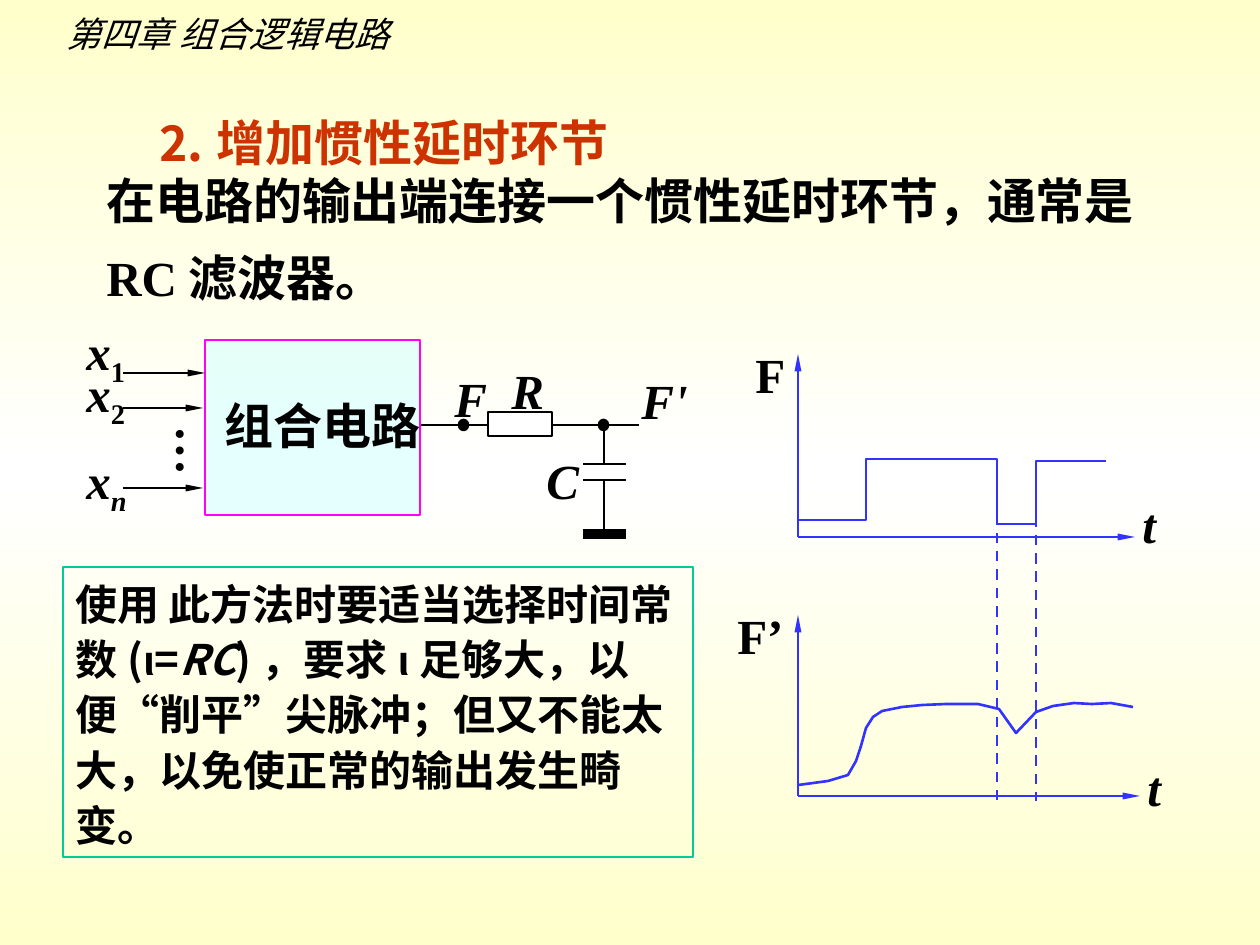
import copy

import pptx
import pptx.dml.color
import pptx.enum.dml
import pptx.enum.shapes
import pptx.enum.text
import pptx.oxml.ns
import pptx.util
from lxml import etree

RGB = pptx.dml.color.RGBColor
SHAPE = pptx.enum.shapes.MSO_SHAPE
SCALE = 914400 / 126  # EMU per px

BLACK, WHITE = RGB(0, 0, 0), RGB(255, 255, 255)
CREAM = RGB(0xFF, 0xFF, 0xCC)
CYAN, MAGENTA = RGB(0xCC, 0xFF, 0xFF), RGB(0xFF, 0, 0xFF)
BLUE, GREEN, RED = RGB(0x33, 0x33, 0xFF), RGB(0, 0xCC, 0x99), RGB(0xCC, 0x33, 0)
SERIF, SANS, ARIAL = "Times New Roman", "Noto Sans CJK SC", "Arial"

CHAPTER = "第四章 组合逻辑电路"
TITLE = "⒉ 增加惯性延时环节"
BODY = "在电路的输出端连接一个惯性延时环节，通常是RC滤波器。"
NOTE = [
    ("使用 此方法时要适当选择时间常数(", {}),
    ("ι", {"font": ARIAL}),
    ("=", {}),
    ("RC", {"italic": True}),
    (")，要求", {}),
    ("ι", {"font": ARIAL}),
    ("足够大，以便“削平”尖脉冲；但又不能太大，以免使正常的输出发生畸变。", {}),
]

# Circuit: (x1, y1, x2, y2)
INPUT_ARROWS = [(123, 373, 205, 373), (123, 408, 203, 408), (123, 488, 203, 488)]
WIRES = [(421, 425, 639, 425), (604, 425, 604, 464), (583, 464, 626, 464),
         (583, 480, 626, 480), (604, 480, 604, 534)]
GROUND = (583, 534, 626, 534)
NODES = [459, 599]  # left edges
INPUTS = [("1", 315, False), ("2", 357, False), ("n", 444, True)]  # subscript, top, italic

# Labels: text, left, top, width, italic
LABELS = [
    ("组合电路", 212, 389, 226, False),
    ("F'", 629, 364, 71, True),
    ("F", 442, 362, 58, True),
    ("C", 534, 444, 58, True),
    ("R", 499, 354, 58, True),
    ("F", 743, 338, 55, False),
    ("t", 1130, 488, 39, True),
    ("F’", 725, 599, 71, False),
    ("t", 1135, 751, 39, True),
]

# Waveforms
ORIGIN_X = 798
AXES = [(537, 354, 1135), (796, 615, 1140)]  # baseline, top, right end
DASHES = [(997, 459, 997, 800), (1036, 461, 1036, 801)]
PULSE = [(798, 520), (866, 520), (866, 459), (997, 459),
         (997, 524), (1036, 524), (1036, 461), (1106, 461)]
SMOOTHED = [(798, 785), (828, 781), (848, 775), (856, 761), (861, 746), (866, 728),
            (873, 717), (882, 711), (902, 707), (922, 705), (946, 704), (978, 704),
            (999, 709), (1016, 733), (1036, 712), (1053, 706), (1074, 703),
            (1092, 704), (1111, 703), (1133, 707)]


def px(*values):
    return [round(v * SCALE) for v in values]


def add_sub(parent, tag, **attrs):
    return etree.SubElement(parent, pptx.oxml.ns.qn(tag), attrs)


def add_run(p, text, size=28, font=SERIF, color=BLACK, bold=True, italic=False, sub=False):
    r = p.add_run()
    r.text = text
    r.font.size = pptx.util.Pt(size)
    r.font.bold, r.font.italic = bold, italic
    r.font.color.rgb = color
    r.font.name = font
    rpr = r.font._element
    add_sub(rpr, "a:ea", typeface=SANS)
    if sub:
        rpr.set("baseline", "-25000")


def add_text(s, box, runs, wrap=False):
    """Add a text box holding one paragraph of (text, format) runs."""
    sp = s.shapes.add_textbox(*px(*box))
    tf = sp.text_frame
    tf.word_wrap = wrap
    tf.auto_size = pptx.enum.text.MSO_AUTO_SIZE.SHAPE_TO_FIT_TEXT
    for text, style in runs:
        add_run(tf.paragraphs[0], text, **style)
    return sp


def add_shape(s, kind, box, fill, line, width=1.5):
    sp = s.shapes.add_shape(kind, *px(*box))
    sp.shadow.inherit = False
    if fill is None:
        sp.fill.background()
    else:
        sp.fill.solid()
        sp.fill.fore_color.rgb = fill
    sp.line.color.rgb = line
    sp.line.width = pptx.util.Pt(width)
    return sp


def add_line(s, ends, color=BLACK, width=1.5, arrow=False, dash=False):
    c = s.shapes.add_connector(pptx.enum.shapes.MSO_CONNECTOR.STRAIGHT, *px(*ends))
    c.line.color.rgb = color
    c.line.width = pptx.util.Pt(width)
    if dash:
        c.line.dash_style = pptx.enum.dml.MSO_LINE.DASH
    if arrow:
        add_sub(c.line._get_or_add_ln(), "a:tailEnd", type="triangle", w="sm", len="lg")
    add_sub(c._element.spPr, "a:effectLst")


def add_curve(s, points):
    points = [px(*pt) for pt in points]
    fb = s.shapes.build_freeform(*points[0])
    fb.add_line_segments(points[1:], close=False)
    sp = fb.convert_to_shape()
    sp.shadow.inherit = False
    sp.fill.background()
    sp.line.color.rgb = BLUE
    sp.line.width = pptx.util.Pt(1.5)


def set_background(s):
    fill = s.background.fill
    fill.gradient()
    fill.gradient_angle = 270
    first = s._element.xpath(".//a:gsLst/a:gs")[0]
    first.addnext(copy.deepcopy(first))
    for stop, pos, color in zip(fill.gradient_stops, (0, 0.5, 1), (CREAM, WHITE, CREAM)):
        stop.position = pos
        stop.color.rgb = color


def add_texts(s):
    add_text(s, (54, 6, 357, 55), [(CHAPTER, dict(size=20, font=SANS, bold=False, italic=True))])
    body = add_text(s, (94, 147, 1124, 166), [(BODY, {})], wrap=True)
    body.text_frame.paragraphs[0].line_spacing = 1.3

    title = s.shapes.title
    title.left, title.top, title.width, title.height = px(94, 84, 577, 116)
    tf = title.text_frame
    tf.vertical_anchor = pptx.enum.text.MSO_ANCHOR.MIDDLE
    tf.paragraphs[0].alignment = pptx.enum.text.PP_ALIGN.CENTER
    add_run(tf.paragraphs[0], TITLE, color=RED)

    note = add_shape(s, SHAPE.RECTANGLE, (63, 567, 630, 290), None, GREEN)
    tf = note.text_frame
    tf.word_wrap = True
    tf.vertical_anchor = pptx.enum.text.MSO_ANCHOR.TOP
    p = tf.paragraphs[0]
    p.alignment = pptx.enum.text.PP_ALIGN.LEFT
    p.line_spacing = 1.1
    p._p.get_or_add_pPr().set("hangingPunct", "0")  # keep the full stop inside the frame
    for text, style in NOTE:
        add_run(p, text, **{"size": 24, "font": SANS, **style})


def add_circuit(s):
    block = add_shape(s, SHAPE.RECTANGLE, (205, 340, 215, 175), CYAN, MAGENTA, 0.75)
    add_sub(block._element.xpath("./p:spPr/a:solidFill/a:srgbClr")[0], "a:alpha", val="50000")
    for ends in INPUT_ARROWS:
        add_line(s, ends, arrow=True)
    for ends in WIRES:
        add_line(s, ends)
    add_line(s, GROUND, width=6)
    add_shape(s, SHAPE.RECTANGLE, (488, 412, 64, 24), WHITE, BLACK)
    for left in NODES:
        add_shape(s, SHAPE.OVAL, (left, 420, 9, 10), BLACK, BLACK)
    add_text(s, (127, 415, 74, 72), [("…", {})]).rotation = 270
    for sub, top, italic in INPUTS:
        add_text(s, (74, top, 70, 79),
                 [("x", dict(italic=True)), (sub, dict(italic=italic, sub=True))])


def add_waveforms(s):
    for base, top, right in AXES:
        add_line(s, (ORIGIN_X, base, right, base), BLUE, arrow=True)
        add_line(s, (ORIGIN_X, base, ORIGIN_X, top), BLUE, arrow=True)
    for ends in DASHES:
        add_line(s, ends, BLUE, dash=True)
    add_curve(s, PULSE)
    add_curve(s, SMOOTHED)


def main():
    prs = pptx.Presentation()
    prs.slide_width, prs.slide_height = px(1260, 945)
    s = prs.slides.add_slide(prs.slide_layouts[5])
    set_background(s)
    add_texts(s)
    add_circuit(s)
    add_waveforms(s)
    for text, left, top, width, italic in LABELS:
        add_text(s, (left, top, width, 72), [(text, dict(italic=italic))])
    prs.save("out.pptx")


if __name__ == "__main__":
    main()
